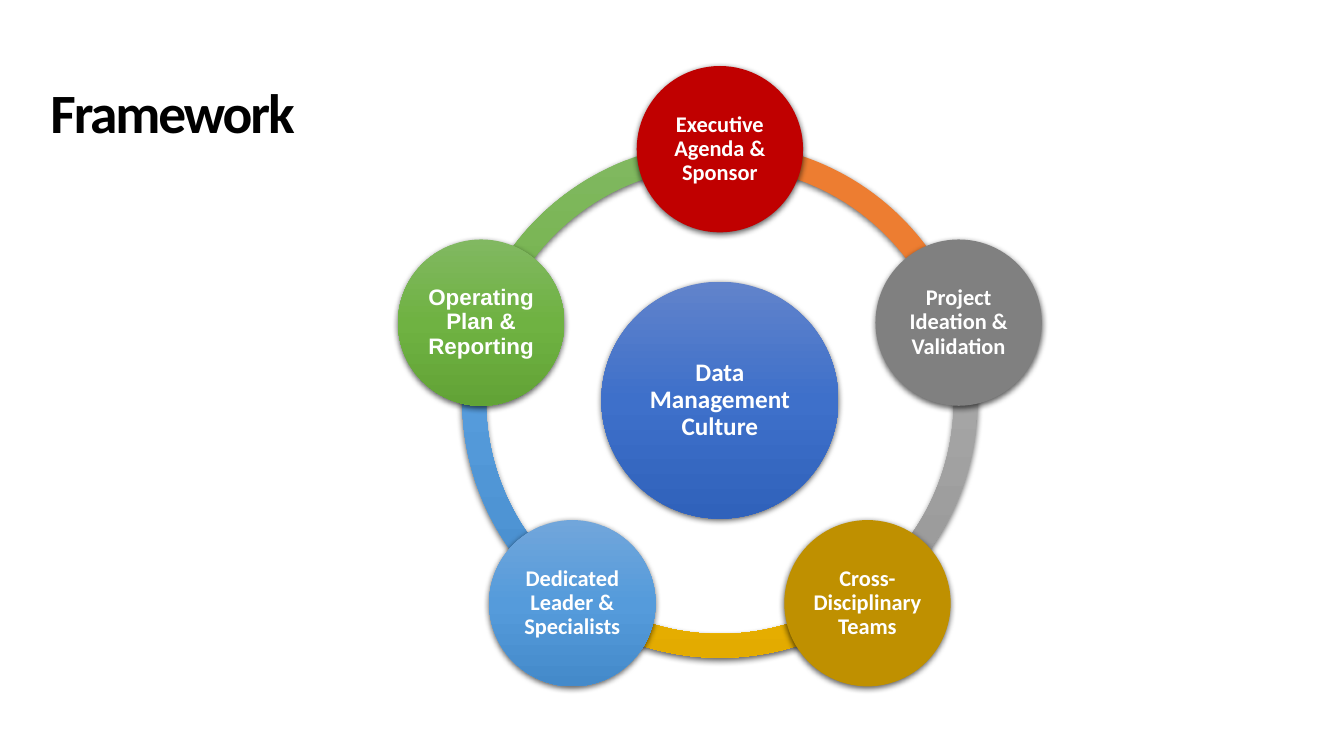
from copy import deepcopy
from dataclasses import dataclass
from math import cos, radians, sin

from lxml.etree import SubElement
from pptx import Presentation
from pptx.dml.color import RGBColor
from pptx.enum.shapes import MSO_SHAPE
from pptx.enum.text import MSO_ANCHOR, MSO_AUTO_SIZE, PP_ALIGN
from pptx.oxml.ns import qn
from pptx.shapes.autoshape import Shape
from pptx.slide import Slide
from pptx.util import Emu, Pt

PX = 9144  # 100 px to the inch

CENTRE_X, CENTRE_Y = 714, 397
ORBIT_RADIUS = 249
RING_SIZE, HUB_SIZE, NODE_SIZE = 511, 235, 165
RING_THICKNESS = 0.046
STEP = 72  # degrees between neighbouring nodes

GREEN = ("81B861", "6FB242", "62A336")
BLUE = ("71A6DB", "559BDB", "448ACA")
GOLD = ("FFC64B", "FFC000", "E3AB00")
GREY = ("AFAFAF", "A5A5A5", "939393")
ORANGE = ("ED7D31",)
ROYAL = ("6183CB", "3E70CA", "3062BB")


@dataclass(frozen=True)
class Node:
    label: str
    fill: tuple[str, ...]
    arc_fill: tuple[str, ...]  # arc leading clockwise to the next node
    font: str = "Calibri"


NODES = [
    Node("Executive Agenda & Sponsor", ("C00000",), ORANGE),
    Node("Project Ideation & Validation", ("808080",), GREY),
    Node("Cross-Disciplinary Teams", ("BF9000",), GOLD),
    Node("Dedicated Leader & Specialists", BLUE, BLUE),
    Node("Operating Plan & Reporting", GREEN, GREEN, font="Arial"),
]


def px(length: float) -> Emu:
    return Emu(round(length * PX))


def colour(value: str) -> RGBColor:
    return RGBColor.from_string(value)


def paint(shape: Shape, colours: tuple[str, ...]) -> None:
    """Fill with one colour, or with a top-to-bottom gradient of three."""
    if len(colours) == 1:
        shape.fill.solid()
        shape.fill.fore_color.rgb = colour(colours[0])
        return
    shape.fill.gradient()
    shape.fill.gradient_angle = 270
    stop_list = shape._element.spPr.find(qn("a:gradFill")).find(qn("a:gsLst"))
    stop_list.append(deepcopy(stop_list[0]))
    for index, (stop, value) in enumerate(zip(shape.fill.gradient_stops, colours)):
        stop.position = index / 2
        stop.color.rgb = colour(value)


def add_soft_shadow(shape: Shape) -> None:
    shape.shadow.inherit = False
    effects = shape._element.spPr.find(qn("a:effectLst"))
    shadow = SubElement(effects, qn("a:outerShdw"), blurRad=str(Pt(4.5)),
                        dist=str(Pt(1.5)), dir="5400000", algn="ctr", rotWithShape="0")
    black = SubElement(shadow, qn("a:srgbClr"), val="000000")
    SubElement(black, qn("a:alpha"), val="63000")


def add_round(slide: Slide, preset: MSO_SHAPE, x: float, y: float, size: int,
              colours: tuple[str, ...]) -> Shape:
    """Add a shadowed round shape centred on x, y."""
    shape = slide.shapes.add_shape(preset, px(x - size / 2), px(y - size / 2),
                                   px(size), px(size))
    paint(shape, colours)
    shape.line.fill.background()
    add_soft_shadow(shape)
    return shape


def write(shape: Shape, text: str, *, size: float, font: str = "Calibri",
          color: str = "FFFFFF", align: PP_ALIGN = PP_ALIGN.CENTER,
          anchor: MSO_ANCHOR = MSO_ANCHOR.MIDDLE, inset: int = 2,
          tracking: float = 0) -> None:
    frame = shape.text_frame
    frame.word_wrap = True
    frame.auto_size = MSO_AUTO_SIZE.NONE
    frame.vertical_anchor = anchor
    frame.margin_left = frame.margin_right = px(inset)
    frame.margin_top = frame.margin_bottom = px(min(inset, 5))
    paragraph = frame.paragraphs[0]
    paragraph.alignment = align
    paragraph.line_spacing = 0.9
    run = paragraph.add_run()
    run.text = text
    run.font.name = font
    run.font.size = Pt(size)
    run.font.bold = True
    run.font.color.rgb = colour(color)
    if tracking:
        run._r.get_or_add_rPr().set("spc", str(round(tracking * 100)))


def add_title(slide: Slide) -> None:
    title = slide.shapes.title
    title.left, title.top, title.width, title.height = map(px, (40, 80, 469, 129))
    write(title, "Framework", size=39.6, color="000000", align=PP_ALIGN.LEFT,
          anchor=MSO_ANCHOR.TOP, inset=10, tracking=-1.5)


def add_wheel(slide: Slide) -> None:
    angles = [(270 + STEP * index) % 360 for index in range(len(NODES))]

    # Ring segments, behind the nodes
    for node, angle in reversed(list(zip(NODES, angles))):
        arc = add_round(slide, MSO_SHAPE.BLOCK_ARC, CENTRE_X, CENTRE_Y, RING_SIZE,
                        node.arc_fill)
        arc.adjustments[0] = angle * 0.6  # 60000ths of a degree over 100000
        arc.adjustments[1] = (angle + STEP) % 360 * 0.6
        arc.adjustments[2] = RING_THICKNESS

    # Hub
    hub = add_round(slide, MSO_SHAPE.OVAL, CENTRE_X, CENTRE_Y, HUB_SIZE, ROYAL)
    write(hub, "Data Management Culture", size=18, inset=3)

    # Nodes around the hub
    for node, angle in zip(NODES, angles):
        x = CENTRE_X + ORBIT_RADIUS * cos(radians(angle))
        y = CENTRE_Y + ORBIT_RADIUS * sin(radians(angle))
        circle = add_round(slide, MSO_SHAPE.OVAL, x, y, NODE_SIZE, node.fill)
        write(circle, node.label, size=16, font=node.font)


def main() -> None:
    presentation = Presentation()
    presentation.slide_width, presentation.slide_height = px(1333), px(750)
    slide = presentation.slides.add_slide(presentation.slide_layouts[5])
    add_title(slide)
    add_wheel(slide)
    presentation.save("out.pptx")


if __name__ == "__main__":
    main()
